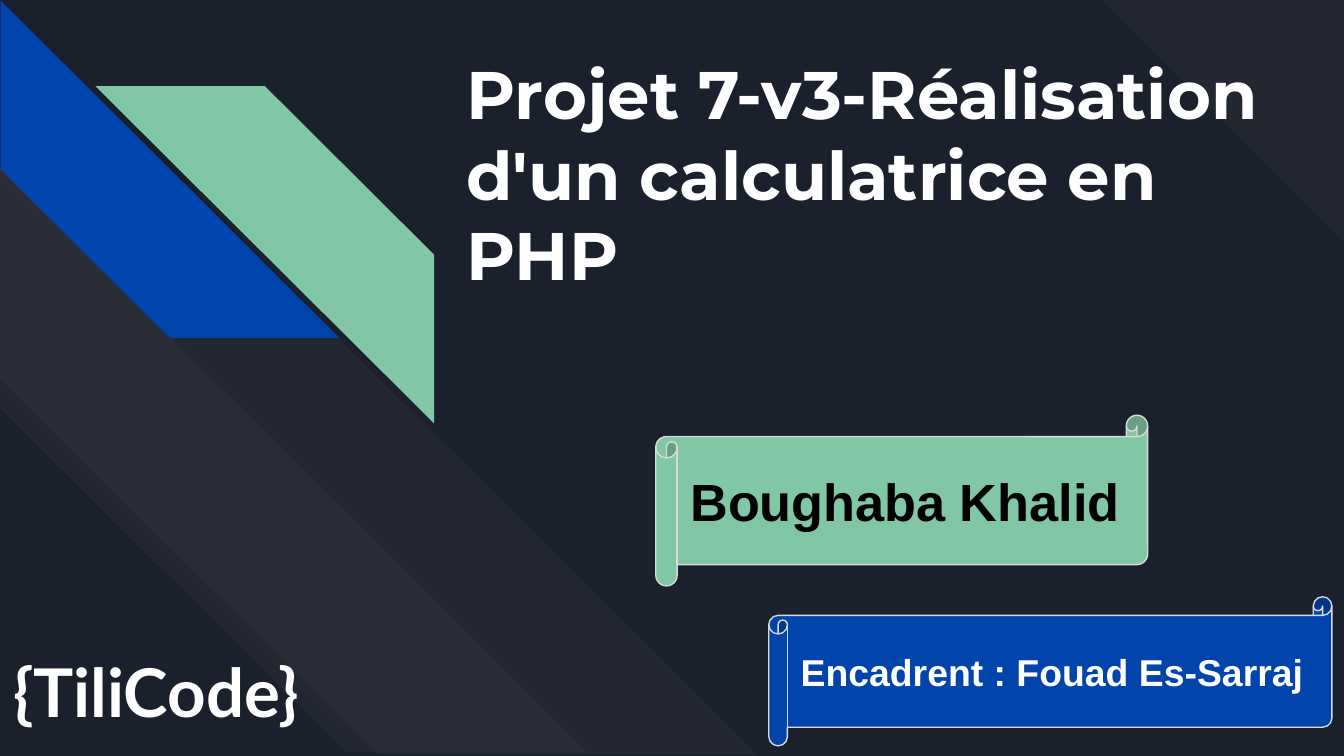
from pptx import Presentation
from pptx.dml.color import RGBColor
from pptx.enum.shapes import MSO_SHAPE as SHAPE
from pptx.enum.text import MSO_ANCHOR as ANCHOR, MSO_AUTO_SIZE as AUTO, PP_ALIGN as ALIGN
from pptx.oxml.ns import qn
from pptx.util import Inches, Pt
from lxml.etree import SubElement

# Square grid cells, ten to the inch
COLS, ROWS, CELLS_PER_INCH = 100, 56.25, 10
NAVY, BLUE, GREEN = "1B212C", "0145AC", "82C7A5"
WHITE, BLACK, GREY = "FFFFFF", "000000", "D9D9D9"


def rgb(color):
    return RGBColor.from_string(color)


def grid(*cells):
    return [Inches(n / CELLS_PER_INCH) for n in cells]


def write(sp, text, *, size, font="Arial", color=WHITE, anchor=ANCHOR.TOP, fit=AUTO.NONE):
    tf = sp.text_frame
    tf.word_wrap = True
    tf.auto_size = fit
    tf.vertical_anchor = anchor
    tf.margin_left = tf.margin_right = tf.margin_top = tf.margin_bottom = Inches(0.1)
    p = tf.paragraphs[0]
    p.alignment = ALIGN.LEFT
    r = p.add_run()
    r.text = text
    r.font.name, r.font.size, r.font.bold = font, Pt(size), True
    r.font.color.rgb = rgb(color)


class Deck:
    def __init__(self):
        self.prs = Presentation()
        self.prs.slide_width, self.prs.slide_height = grid(COLS, ROWS)

    def slide(self, background):
        self.s = self.prs.slides.add_slide(self.prs.slide_layouts[5])
        fill = self.s.background.fill
        fill.solid()
        fill.fore_color.rgb = rgb(background)

    def shape(self, kind, box, fill, adj):
        sp = self.s.shapes.add_shape(kind, *grid(*box))
        sp.shadow.inherit = False
        sp.adjustments[0] = adj
        sp.fill.solid()
        sp.fill.fore_color.rgb = rgb(fill)
        sp.line.fill.background()
        return sp

    def stripe(self, box, fill=WHITE, adj=0.5, rotation=0, opacity=100, flip=False):
        sp = self.shape(SHAPE.DIAGONAL_STRIPE, box, fill, adj)
        sp.rotation = rotation
        if flip:
            sp.element.spPr.find(qn("a:xfrm")).set("flipH", "1")
        if opacity < 100:
            color = sp.element.spPr.find(qn("a:solidFill"))[0]
            SubElement(color, qn("a:alpha"), val=str(opacity * 1000))

    def scroll(self, box, fill, text, **fmt):
        sp = self.shape(SHAPE.HORIZONTAL_SCROLL, box, fill, 0.125)
        sp.line.color.rgb = rgb(GREY)
        sp.line.width = Pt(0.75)
        write(sp, text, anchor=ANCHOR.MIDDLE, **fmt)

    def title(self, box, text, **fmt):
        sp = self.s.shapes.title
        sp.left, sp.top, sp.width, sp.height = grid(*box)
        sp.element.getparent().append(sp.element)  # in front of the stripes
        write(sp, text, **fmt)

    def text(self, box, text, **fmt):
        write(self.s.shapes.add_textbox(*grid(*box)), text, fit=AUTO.SHAPE_TO_FIT_TEXT, **fmt)


def main():
    deck = Deck()
    deck.slide(NAVY)

    # Diagonal bands
    deck.stripe((82, 0, 18, 18), adj=0, rotation=90, opacity=3)
    deck.stripe((0.1, -0.1, 56.1, 56.4), rotation=270, opacity=3)
    deck.stripe((0.1, 12.4, 43.5, 43.7), adj=0.59, rotation=270, opacity=3)
    deck.stripe((0.1, 0, 25.1, 25.2), BLUE, rotation=270)
    deck.stripe((7.1, 6.4, 25.2, 25.1), GREEN, flip=True)

    # Title
    deck.title((33.7, 2.9, 62.5, 17.3), "Projet 7-v3-Réalisation d'un calculatrice en PHP",
               size=36, font="Montserrat")

    # Author and supervisor
    deck.scroll((48.8, 30.9, 36.6, 12.7), GREEN, "Boughaba Khalid", size=28, color=BLACK)
    deck.scroll((57.2, 44.4, 41.9, 11.1), BLUE, "Encadrent : Fouad Es-Sarraj", size=20)

    # School name
    deck.text((0, 47.4, 25.3, 8.1), "{TiliCode}", size=36, font="Lato")

    deck.prs.save("out.pptx")


if __name__ == "__main__":
    main()
